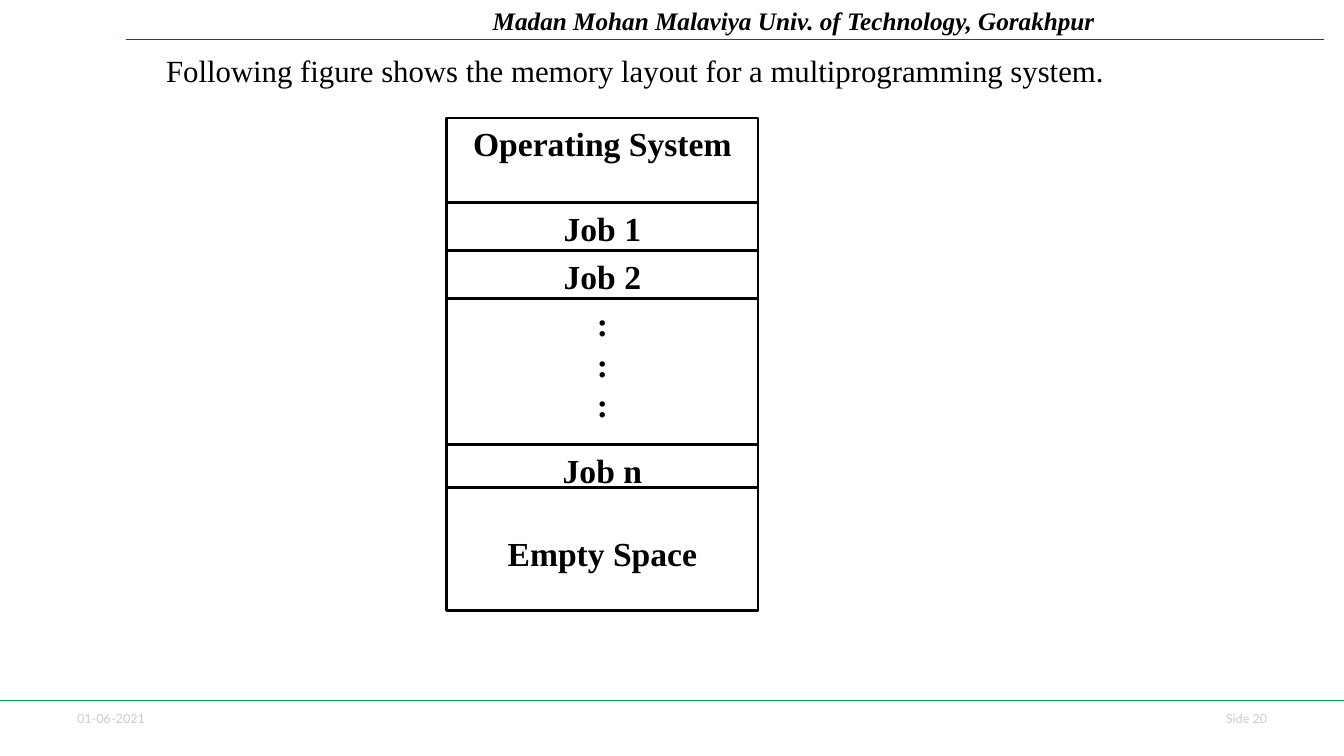
from dataclasses import dataclass

from lxml.etree import SubElement
from pptx import Presentation
from pptx.dml.color import RGBColor
from pptx.enum.shapes import MSO_CONNECTOR, MSO_SHAPE
from pptx.enum.text import MSO_ANCHOR, PP_ALIGN
from pptx.oxml.ns import qn
from pptx.util import Pt


@dataclass(frozen=True)
class Theme:
    serif: str = "Times New Roman"
    sans: str = "Lato"
    ink: str = "000000"
    paper: str = "FFFFFF"
    muted: str = "CCCCCC"
    header_rule: str = "C00000"
    footer_rule: str = "00B050"
    block_size: float = 24
    body_size: float = 22
    header_size: float = 18
    footer_size: float = 9
    leading: float = 1.2
    inset: float = 3.6


def write_text(frame, text, *, font, size, color, leading, top,
               bold=False, italic=False, align=PP_ALIGN.LEFT):
    frame.word_wrap = True
    frame.vertical_anchor = MSO_ANCHOR.TOP
    frame.margin_top = Pt(top)
    for index, line in enumerate(text.split("\n")):
        paragraph = frame.add_paragraph() if index else frame.paragraphs[0]
        paragraph.alignment = align
        paragraph.line_spacing = Pt(size * leading)
        run = paragraph.add_run()
        run.text = line
        run.font.name = font
        run.font.size = Pt(size)
        run.font.bold = bold
        run.font.italic = italic
        run.font.color.rgb = RGBColor.from_string(color)


class SlideBuilder:
    def __init__(self, slide, theme):
        self.slide = slide
        self.theme = theme

    def label(self, text, left, top, width, height, *, inset=None, **style):
        box = self.slide.shapes.add_textbox(Pt(left), Pt(top), Pt(width), Pt(height))
        write_text(box.text_frame, text, leading=self.theme.leading,
                   top=self.theme.inset if inset is None else inset, **style)

    def rule(self, left, right, y, color):
        line = self.slide.shapes.add_connector(
            MSO_CONNECTOR.STRAIGHT, Pt(left), Pt(y), Pt(right), Pt(y))
        line.line.color.rgb = RGBColor.from_string(color)
        line.line.width = Pt(0.75)
        SubElement(line._element.spPr, qn("a:effectLst"))

    def memory_block(self, text, left, top, width, height, blank_lines):
        theme = self.theme
        block = self.slide.shapes.add_shape(
            MSO_SHAPE.RECTANGLE, Pt(left), Pt(top), Pt(width), Pt(height))
        block.shadow.inherit = False
        block.fill.solid()
        block.fill.fore_color.rgb = RGBColor.from_string(theme.paper)
        block.line.color.rgb = RGBColor.from_string(theme.ink)
        block.line.width = Pt(2)
        offset = theme.inset + blank_lines * theme.block_size * theme.leading
        write_text(block.text_frame, text, font=theme.serif, size=theme.block_size,
                   color=theme.ink, leading=theme.leading, top=offset,
                   bold=True, align=PP_ALIGN.CENTER)

    def memory_stack(self, blocks, left, top, width):
        for text, height, blank_lines in blocks:
            self.memory_block(text, left, top, width, height, blank_lines)
            top += height


def main():
    """Build the memory layout slide and save it."""
    theme = Theme()
    presentation = Presentation()
    presentation.slide_width = Pt(960)
    presentation.slide_height = Pt(540)
    slide = presentation.slides.add_slide(presentation.slide_layouts[6])
    builder = SlideBuilder(slide, theme)

    footer = dict(font=theme.sans, size=theme.footer_size, color=theme.muted)
    builder.label("01-06-2021", 48, 504, 99.4, 18, **footer)
    builder.label("Side 20", 832.3, 504, 80, 18, align=PP_ALIGN.RIGHT, **footer)
    builder.label("Madan Mohan Malaviya Univ. of Technology, Gorakhpur",
                  344.9, 0, 615, 28.8, font=theme.serif, size=theme.header_size,
                  color=theme.ink, bold=True, italic=True)
    builder.rule(90, 945.4, 28.1, theme.header_rule)
    builder.rule(0, 960, 500.4, theme.footer_rule)

    builder.memory_stack([
        ("Operating System", 60.5, 0),
        ("Job 1", 34.1, 0),
        ("Job 2", 34.1, 0),
        (":\n:\n:", 104.5, 0),
        ("Job n", 31, 0),
        ("Empty Space", 87.8, 1),
    ], left=319, top=84.3, width=222.5)

    builder.label("Following figure shows the memory layout for a multiprogramming system.",
                  111.6, 11.5, 731.5, 55.4, inset=25.2, font=theme.serif,
                  size=theme.body_size, color=theme.ink)
    presentation.save("out.pptx")


if __name__ == "__main__":
    main()
